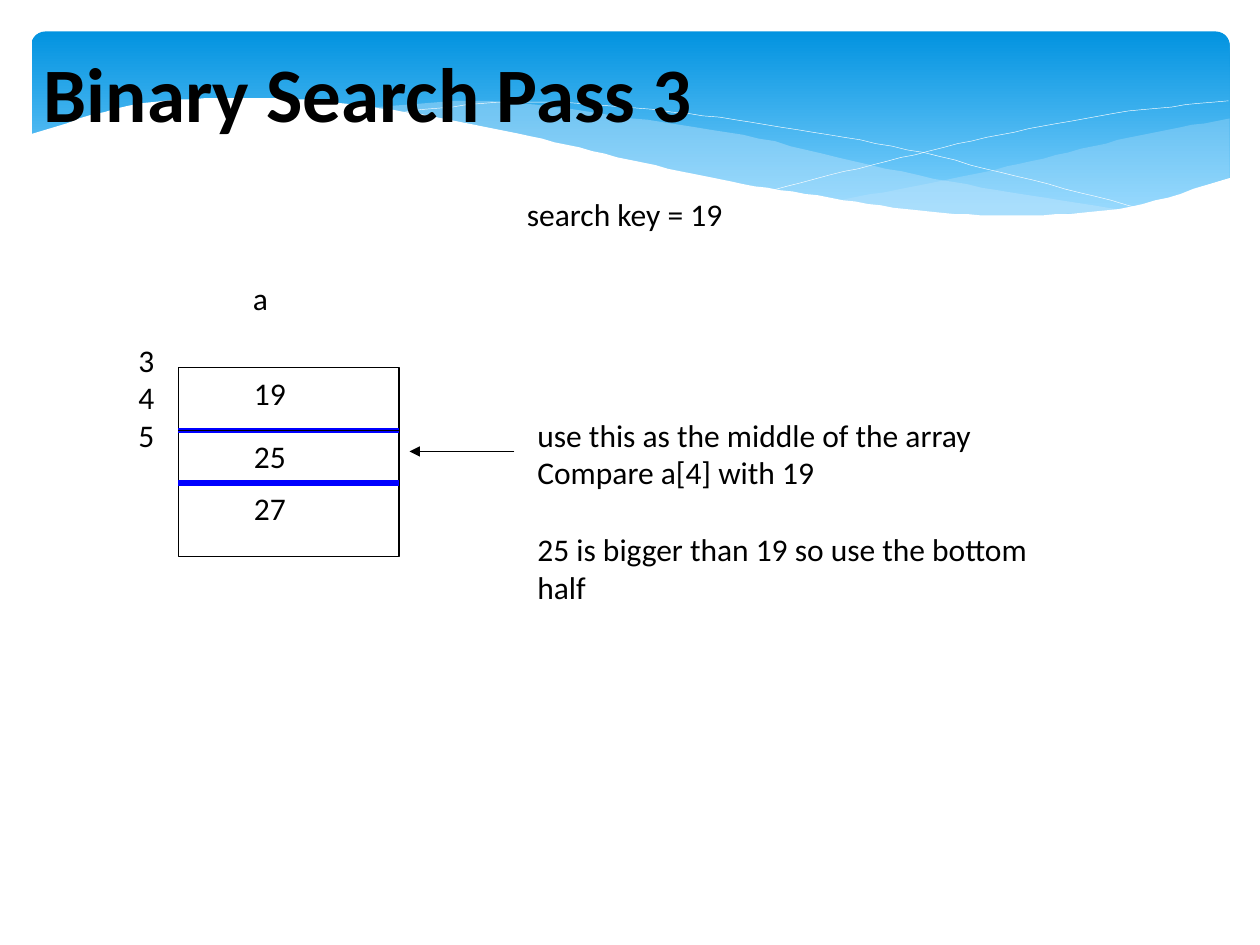
from lxml import etree
from pptx import Presentation
from pptx import util as u
from pptx.dml.color import RGBColor
from pptx.enum import shapes, text
from pptx.oxml import ns

deck = Presentation()
deck.slide_width, deck.slide_height = u.Inches(10), u.Inches(7.5)
page = deck.slides.add_slide(deck.slide_layouts[6])
CELL = deck.slide_width // 120
SHARE = deck.slide_width / 1000
STEPS_PER_GAP = 8
BLACK, WHITE, BLUE, PALE_BLUE = "000000", "FFFFFF", "0000FF", "C6E7FC"
color = RGBColor.from_string


def add_text(column, row, columns, rows, lines, size=18, bold=False):
    box = page.shapes.add_textbox(*(u.Emu(int(n * CELL)) for n in (column, row, columns, rows)))
    frame = box.text_frame
    frame.word_wrap = True
    frame.text = "\n".join(lines)
    for para in frame.paragraphs:
        para.font.name = "Calibri"
        para.font.size = u.Pt(size)
        para.font.bold = bold
        para.font.color.rgb = color(BLACK)
    return frame


def smooth_curve(left, right, heights):
    last = len(heights) - 1
    slopes = []
    for knot in range(last + 1):
        before, after = max(knot - 1, 0), min(knot + 1, last)
        slopes.append((heights[after] - heights[before]) / (after - before))
    points = []
    for step in range(last * STEPS_PER_GAP + 1):
        knot = min(step // STEPS_PER_GAP, last - 1)
        t = step / STEPS_PER_GAP - knot
        blend = t * t * (3 - 2 * t)
        y = (heights[knot] * (1 - blend) + heights[knot + 1] * blend
             + slopes[knot] * t * (1 - t) ** 2 - slopes[knot + 1] * t * t * (1 - t))
        points.append((left + (right - left) * (knot + t) / last, y))
    return points


banner = page.shapes.add_shape(
    shapes.MSO_SHAPE.ROUNDED_RECTANGLE, 3 * CELL, 3 * CELL, int(114.1 * CELL), int(18.7 * CELL))
banner.shadow.inherit = False
banner.adjustments[0] = 0.07
banner.line.fill.background()
banner.fill.gradient()
banner.fill.gradient_angle = 270
for stop, hue, position in zip(banner.fill.gradient_stops, ("0293E0", "83D3FE"), (0, 0.9)):
    stop.color.rgb = color(hue)
    stop.position = position

right_ribbon = dict(left=661, right=976, opacity=29, hue=PALE_BLUE,
                    upper=(160, 145, 128, 109, 94), lower=(160, 169, 172, 165, 141))
left_ribbon = dict(left=286, right=893, opacity=40, hue=PALE_BLUE,
                   upper=(86, 80, 92, 107, 131, 151, 167),
                   lower=(86, 102, 125, 148, 165, 172, 167))
falling_line = dict(left=309, right=907, upper=(90, 81, 86, 99, 116, 140, 166))
rising_line = dict(left=613, right=975, upper=(151, 128, 107, 90, 80))
white_wave = dict(left=23, right=977, opacity=100, hue=WHITE, lower=(224, 224),
                  upper=(107, 84, 78, 81, 92, 108, 127, 144, 157, 168, 171, 164, 141))

for wave in (right_ribbon, left_ribbon, falling_line, rising_line, white_wave):
    filled = "lower" in wave
    outline = smooth_curve(wave["left"], wave["right"], wave["upper"])
    if filled:
        outline += reversed(smooth_curve(wave["left"], wave["right"], wave["lower"]))
    builder = page.shapes.build_freeform(*outline[0], scale=SHARE)
    builder.add_line_segments(outline[1:], close=filled)
    shape = builder.convert_to_shape()
    shape.shadow.inherit = False
    if filled:
        shape.line.fill.background()
        shape.fill.solid()
        shape.fill.fore_color.rgb = color(wave["hue"])
        tint = shape._element.spPr.find(ns.qn("a:solidFill"))[0]
        etree.SubElement(tint, ns.qn("a:alpha"), val=str(wave["opacity"] * 1000))
    else:
        shape.fill.background()
        shape.line.color.rgb = color(WHITE)
        shape.line.width = u.Pt(0.25)

title = add_text(3, 3, 108, 11.4, ["Binary Search Pass 3"], size=44, bold=True)
title.vertical_anchor = text.MSO_ANCHOR.MIDDLE

array_left, array_right = 17, 38
first_row, middle_row, last_row, array_bottom = 35, 41, 46, 53
array = page.shapes.add_shape(
    shapes.MSO_SHAPE.RECTANGLE, array_left * CELL, first_row * CELL,
    (array_right - array_left) * CELL, (array_bottom - first_row) * CELL)
array.shadow.inherit = False
array.fill.background()
array.line.color.rgb = color(BLACK)
array.line.width = u.Pt(0.75)

for start, end, row, hue, width, has_arrowhead in (
        (array_left, array_right, middle_row, BLUE, 3, False),
        (array_left, array_right, middle_row, BLACK, 0.75, False),
        (array_left, array_right, last_row, BLUE, 3, False),
        (49, array_right + 1, middle_row + 2, BLACK, 0.75, True)):
    line = page.shapes.add_connector(
        shapes.MSO_CONNECTOR.STRAIGHT, start * CELL, row * CELL, end * CELL, row * CELL)
    line.line.color.rgb = color(hue)
    line.line.width = u.Pt(width)
    if has_arrowhead:
        etree.SubElement(line.line._get_or_add_ln(), ns.qn("a:tailEnd"), type="triangle")
    etree.SubElement(line._element.spPr, ns.qn("a:effectLst"))

value_column = array_left + 6
for row, value in ((first_row, "19"), (middle_row, "25"), (last_row, "27")):
    add_text(value_column, row, 6.4, 6, [value])
add_text(value_column - 0.1, 26, 4.2, 6, ["a"])
add_text(12, 31.85, 4.5, 12, ["3", "4", "5"])
add_text(49, 18, 27.6, 6, ["search key = 19"])
explanation = add_text(50, 39, 64, 25, [
    "use this as the middle of the array",
    "Compare a[4] with 19",
    "25 is bigger than 19 so use the bottom",
    "half"])
explanation.paragraphs[2].space_before = u.Pt(22)

deck.save("out.pptx")
